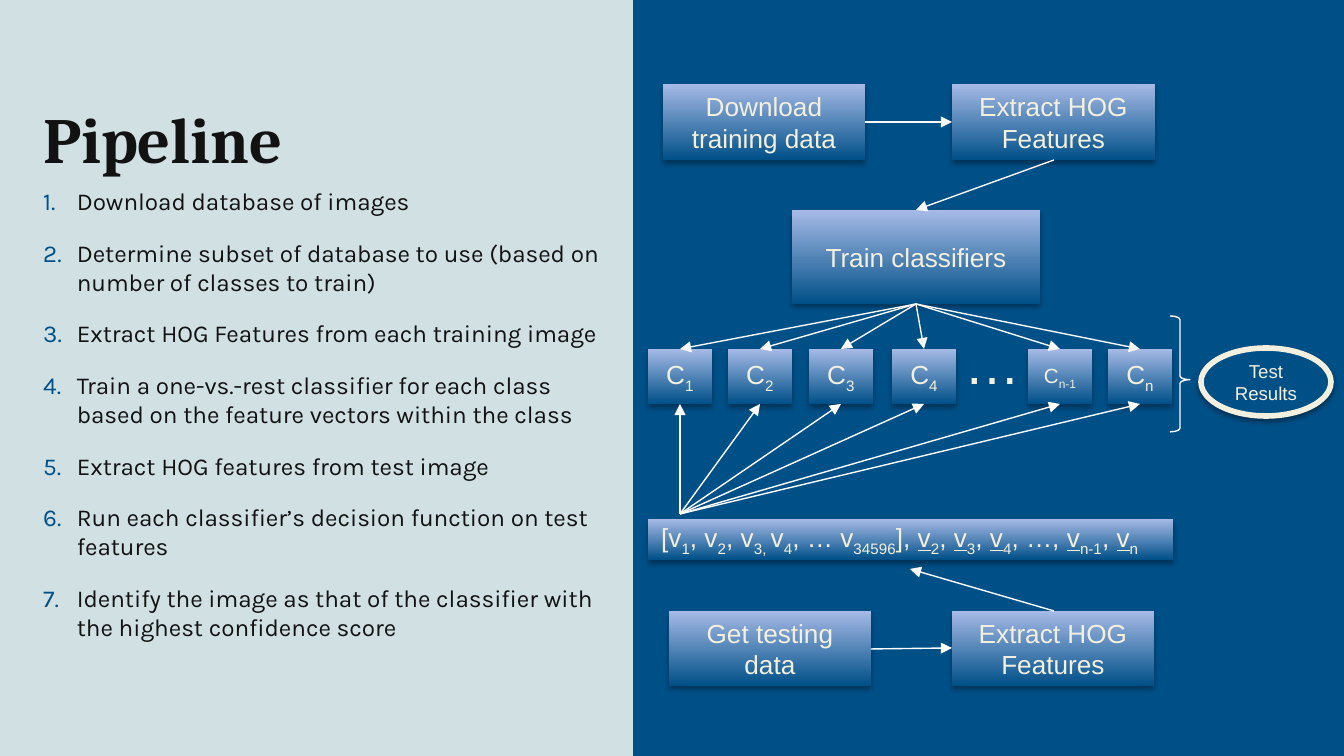
from lxml.etree import SubElement
from pptx import Presentation
from pptx.dml.color import RGBColor
from pptx.enum.shapes import MSO_CONNECTOR, MSO_SHAPE
from pptx.enum.text import MSO_ANCHOR, PP_ALIGN
from pptx.oxml.ns import qn
from pptx.util import Emu, Pt

PX = 914400 / 134.4
COLORS = {
    "paper": "D0E0E3",
    "navy": "005088",
    "sky": "A6BAE6",
    "cream": "F3F0DF",
    "ink": "121212",
    "off_white": "F9F9F9",
    "white": "FFFFFF",
    "black": "000000",
}
STEPS = [
    "Download database of images",
    "Determine subset of database to use (based on number of classes to train)",
    "Extract HOG Features from each training image",
    "Train a one-vs.-rest classifier for each class based on the feature vectors within the class",
    "Extract HOG features from test image",
    "Run each classifier’s decision function on test features",
    "Identify the image as that of the classifier with the highest confidence score",
]
STAGES = [
    ("Download training data", 663, 84, 202, 76),
    ("Extract HOG Features", 952, 84, 203, 76),
    ("Train classifiers", 792, 210, 248, 94),
    ("Get testing data", 669, 611, 202, 75),
    ("Extract HOG Features", 952, 611, 202, 75),
]
CLASSIFIERS = [("1", 648, 14), ("2", 728, 14), ("3", 809, 14),
               ("4", 892, 14), ("n-1", 1028, 11), ("n", 1108, 14)]
CLASSIFIER_TOP, CLASSIFIER_WIDTH, CLASSIFIER_HEIGHT = 349, 64, 55
VECTOR = ("[v|_1|, v|_2|, v|_3, |v|_4|, … v|_34596|], |~v|_2|, |~v|_3|, "
          "|~v|_4|, …, |~v|_n-1|, |~v|_n")


def px(*lengths):
    return [Emu(round(length * PX)) for length in lengths]


def rgb(name):
    return RGBColor.from_string(COLORS[name])


def style(paragraph, size, face, color, bold=False):
    font = paragraph.font
    font.size, font.name, font.bold = Pt(size), face, bold
    font.color.rgb = rgb(color)


def add_marked_runs(paragraph, marked):
    for part in marked.split("|"):
        run = paragraph.add_run()
        run.text = part.lstrip("_~")
        if part.startswith("_"):
            run._r.get_or_add_rPr().set("baseline", "-25000")
        elif part.startswith("~"):
            run.font.underline = True


def add_shadow(shape, opacity):
    shape.shadow.inherit = False
    effects = shape._element.spPr.find(qn("a:effectLst"))
    shadow = SubElement(effects, qn("a:outerShdw"), blurRad=str(Pt(3.1)),
                        dist=str(Pt(1.8)), dir="5400000", rotWithShape="0")
    tint = SubElement(shadow, qn("a:srgbClr"), val=COLORS["black"])
    SubElement(tint, qn("a:alpha"), val=str(opacity * 1000))


def add_label(shape, marked, size, align=PP_ALIGN.CENTER):
    shape.text_frame.vertical_anchor = MSO_ANCHOR.MIDDLE
    paragraph = shape.text_frame.paragraphs[0]
    paragraph.alignment = align
    style(paragraph, size, "Arial", "cream")
    add_marked_runs(paragraph, marked)


def add_box(slide, marked, left, top, width, height, size=14, align=PP_ALIGN.CENTER):
    box = slide.shapes.add_shape(MSO_SHAPE.RECTANGLE, *px(left, top, width, height))
    box.fill.gradient()
    box.fill.gradient_angle = 90
    for stop, color in zip(box.fill.gradient_stops, ("navy", "sky")):
        stop.color.rgb = rgb(color)
    box.line.fill.background()
    add_shadow(box, 35)
    add_label(box, marked, size, align)


def add_arrow(slide, start, end, color):
    arrow = slide.shapes.add_connector(MSO_CONNECTOR.STRAIGHT, *px(*start, *end))
    arrow.line.color.rgb = rgb(color)
    arrow.line.width = Pt(0.75)
    SubElement(arrow.line._get_or_add_ln(), qn("a:tailEnd"), type="triangle")
    SubElement(arrow._element.spPr, qn("a:effectLst"))


def add_text_frame(slide, left, top, width, height):
    frame = slide.shapes.add_textbox(*px(left, top, width, height)).text_frame
    frame.word_wrap = True
    frame.margin_top = frame.margin_bottom = Pt(7.2)
    return frame


def add_panel(slide):
    panel = slide.shapes.add_shape(MSO_SHAPE.RECTANGLE, *px(633, 0, 711, 756))
    panel.fill.solid()
    panel.fill.fore_color.rgb = rgb("navy")
    panel.line.fill.background()
    panel.shadow.inherit = False


def add_title(slide):
    frame = add_text_frame(slide, 30, -50, 464, 241)
    frame.vertical_anchor = MSO_ANCHOR.BOTTOM
    title = frame.paragraphs[0]
    title.text = "Pipeline"
    title.line_spacing = 0.9
    style(title, 34.5, "Cambria", "ink", bold=True)


def add_steps(slide):
    frame = add_text_frame(slide, 30, 173, 589, 403)
    for index, step in enumerate(STEPS):
        paragraph = frame.add_paragraph() if index else frame.paragraphs[0]
        paragraph.text = step
        paragraph.space_after = Pt(12)
        properties = paragraph._p.get_or_add_pPr()
        properties.set("marL", str(Pt(18)))
        properties.set("indent", str(-Pt(18)))
        number_color = SubElement(properties, qn("a:buClr"))
        SubElement(number_color, qn("a:srgbClr"), val=COLORS["navy"])
        SubElement(properties, qn("a:buAutoNum"), type="arabicPeriod")
        style(paragraph, 13, "Karla", "ink")


def add_ellipsis(slide):
    frame = slide.shapes.add_textbox(*px(951, 322, 83, 82)).text_frame
    frame.word_wrap = False
    paragraph = frame.paragraphs[0]
    paragraph.text = "…"
    style(paragraph, 30, "Arial", "cream")


def add_results(slide):
    brace = slide.shapes.add_shape(MSO_SHAPE.RIGHT_BRACE, *px(1170, 316, 20, 116))
    brace.adjustments[0], brace.adjustments[1] = 0.18, 0.55
    brace.fill.background()
    brace.line.color.rgb = rgb("white")
    brace.line.width = Pt(0.75)
    brace.shadow.inherit = False

    results = slide.shapes.add_shape(MSO_SHAPE.OVAL, *px(1201, 348, 130, 68))
    results.fill.solid()
    results.fill.fore_color.rgb = rgb("navy")
    results.line.color.rgb = rgb("cream")
    results.line.width = Pt(3)
    add_shadow(results, 38)
    add_label(results, "Test Results", 10)


def add_classifiers(slide):
    bottom = CLASSIFIER_TOP + CLASSIFIER_HEIGHT
    for subscript, left, size in CLASSIFIERS:
        add_box(slide, f"C|_{subscript}", left, CLASSIFIER_TOP,
                CLASSIFIER_WIDTH, CLASSIFIER_HEIGHT, size)
    for _, left, _ in CLASSIFIERS:
        center = left + CLASSIFIER_WIDTH // 2
        add_arrow(slide, (916, 304), (center, CLASSIFIER_TOP), "off_white")
        add_arrow(slide, (680, 514), (center, bottom), "white")


def main():
    deck = Presentation()
    deck.slide_width, deck.slide_height = px(1344, 756)
    slide = deck.slides.add_slide(deck.slide_layouts[6])
    slide.background.fill.solid()
    slide.background.fill.fore_color.rgb = rgb("paper")
    add_panel(slide)
    add_title(slide)
    add_steps(slide)
    for stage in STAGES:
        add_box(slide, *stage)
    add_ellipsis(slide)
    add_classifiers(slide)
    add_box(slide, VECTOR, 648, 519, 525, 41, align=PP_ALIGN.LEFT)
    add_arrow(slide, (865, 122), (952, 122), "off_white")
    add_arrow(slide, (1054, 160), (916, 210), "off_white")
    add_arrow(slide, (871, 649), (952, 648), "white")
    add_arrow(slide, (1054, 611), (910, 569), "white")
    add_results(slide)
    deck.save("out.pptx")


if __name__ == "__main__":
    main()
